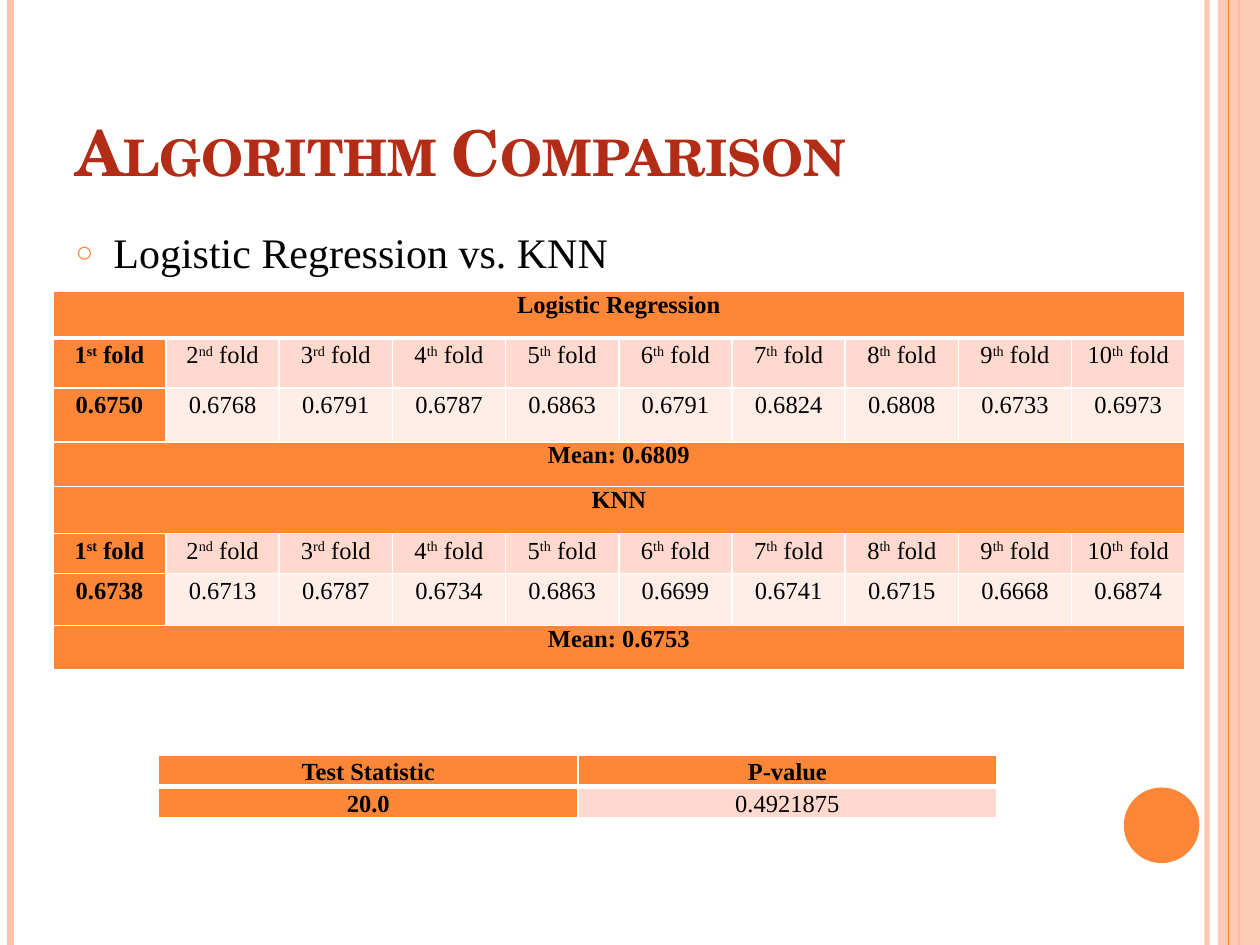
from lxml import etree
from pptx import Presentation
from pptx.dml.color import RGBColor
from pptx.enum import shapes, text
from pptx.oxml import ns
from pptx.util import Pt

ORANGE = RGBColor(0xFE, 0x86, 0x37)
PEACH = RGBColor(0xFE, 0xC3, 0xAE)
ROSE = RGBColor(0xFF, 0xD9, 0xCE)
PALE_ROSE = RGBColor(0xFF, 0xED, 0xE8)
RED = RGBColor(0xB3, 0x2C, 0x16)
BLACK = RGBColor(0, 0, 0)
WHITE = RGBColor(0xFF, 0xFF, 0xFF)
TITLE_FONT = "TeX Gyre Schola"
BODY_FONT = "Times New Roman"
SLIDE_WIDTH, SLIDE_HEIGHT = 720, 540
FOLD_COUNT = 10

LOGISTIC_SCORES = ["0.6750", "0.6768", "0.6791", "0.6787", "0.6863",
                   "0.6791", "0.6824", "0.6808", "0.6733", "0.6973"]
KNN_SCORES = ["0.6738", "0.6713", "0.6787", "0.6734", "0.6863",
              "0.6699", "0.6741", "0.6715", "0.6668", "0.6874"]


def add_child(parent, tag, **attributes):
    return etree.SubElement(parent, ns.qn(tag), attributes)


def set_opacity(shape, percent):
    for color in shape._element.spPr.iter(ns.qn("a:srgbClr")):
        add_child(color, "a:alpha", val=str(percent * 1000))


def format_font(run, name, size, color, bold=False):
    font = run.font
    font.name, font.size, font.bold = name, Pt(size), bold
    font.color.rgb = color


def add_vertical_line(slide, x, width, color, opacity=100):
    line = slide.shapes.add_connector(
        shapes.MSO_CONNECTOR.STRAIGHT, Pt(x), Pt(0), Pt(x), Pt(SLIDE_HEIGHT))
    line.line.color.rgb = color
    line.line.width = Pt(width)
    set_opacity(line, opacity)
    add_child(line._element.spPr, "a:effectLst")


def add_plain_shape(slide, kind, left, top, width, height, color, opacity=100):
    shape = slide.shapes.add_shape(kind, Pt(left), Pt(top), Pt(width), Pt(height))
    shape.shadow.inherit = False
    shape.fill.solid()
    shape.fill.fore_color.rgb = color
    shape.line.fill.background()
    set_opacity(shape, opacity)


def fill_placeholder(placeholder, box, words):
    placeholder.left, placeholder.top, placeholder.width, placeholder.height = map(Pt, box)
    frame = placeholder.text_frame
    frame.text = words
    frame.auto_size = text.MSO_AUTO_SIZE.NONE
    paragraph = frame.paragraphs[0]
    paragraph.alignment = text.PP_ALIGN.LEFT
    return frame, paragraph, paragraph.runs[0]


def add_title(slide, words):
    frame, _, run = fill_placeholder(slide.shapes.title, (36, 21.6, 588, 90), words)
    frame.vertical_anchor = text.MSO_ANCHOR.BOTTOM
    format_font(run, TITLE_FONT, 36, RED, bold=True)
    run._r.get_or_add_rPr().set("cap", "small")


def add_bullet(slide, words):
    _, paragraph, run = fill_placeholder(slide.placeholders[1], (36, 126, 588, 384), words)
    paragraph.space_before = Pt(6)
    format_font(run, BODY_FONT, 24, BLACK)
    properties = paragraph._p.get_or_add_pPr()
    properties.set("marL", str(Pt(21.6)))
    properties.set("indent", str(Pt(-21.6)))
    add_child(add_child(properties, "a:buClr"), "a:srgbClr", val=str(ORANGE))
    add_child(properties, "a:buSzPct", val="70000")
    add_child(properties, "a:buChar", char="○")


def set_borders(cell, top, bottom):
    properties = cell._tc.get_or_add_tcPr()
    for side, width in (("L", 1), ("R", 1), ("T", top), ("B", bottom)):
        line = add_child(properties, f"a:ln{side}", w=str(Pt(width)))
        add_child(add_child(line, "a:solidFill"), "a:srgbClr", val=str(WHITE))


def write_cell(cell, pieces, bold, spacing):
    """Write the pieces as runs; the second one, if any, is raised."""
    cell.margin_left = cell.margin_right = Pt(5)
    cell.margin_top = cell.margin_bottom = 0
    paragraph = cell.text_frame.paragraphs[0]
    paragraph.alignment = text.PP_ALIGN.CENTER
    paragraph.line_spacing = spacing
    for index, piece in enumerate(pieces):
        run = paragraph.add_run()
        run.text = piece
        format_font(run, BODY_FONT, 14, BLACK, bold)
        if index == 1:
            run._r.get_or_add_rPr().set("baseline", "30000")


def add_grid(slide, left, top, width, heights, rows):
    """Each row is (fill, cells); a row of one cell spans the table."""
    column_count = max(len(cells) for _, cells in rows)
    table = slide.shapes.add_table(
        len(rows), column_count, Pt(left), Pt(top), Pt(width), Pt(sum(heights))).table
    table.first_row = table.horz_banding = False
    for column in table.columns:
        column.width = Pt(width / column_count)
    for index, (fill, cells) in enumerate(rows):
        table.rows[index].height = Pt(heights[index])
        spans = len(cells) == 1
        for column in range(column_count):
            cell = table.cell(index, column)
            # A thick rule separates the first row from the rest
            set_borders(cell, 3 if index == 1 else 1, 3 if index == 0 else 1)
            cell.fill.solid()
            cell.fill.fore_color.rgb = ORANGE if column == 0 else fill
            if column < len(cells):
                write_cell(cell, cells[column], column == 0 or fill == ORANGE,
                           1.0 if spans else 1.15)
        if spans:
            table.cell(index, 0).merge(table.cell(index, column_count - 1))


def model_rows(name, scores, mean):
    suffixes = {1: "st", 2: "nd", 3: "rd"}
    folds = [(str(n), suffixes.get(n, "th"), " fold") for n in range(1, FOLD_COUNT + 1)]
    return [(ORANGE, [(name,)]),
            (ROSE, folds),
            (PALE_ROSE, [(score,) for score in scores]),
            (ORANGE, [(f"Mean: {mean}",)])]


def add_decoration(slide):
    add_vertical_line(slide, 689.8, 3, PEACH, 93)
    add_vertical_line(slide, 6, 4.5, PEACH)
    add_vertical_line(slide, 708, 1.5, ORANGE)
    add_plain_shape(slide, shapes.MSO_SHAPE.RECTANGLE,
                    696, 0, SLIDE_WIDTH - 696, SLIDE_HEIGHT, PEACH, 87)
    add_vertical_line(slide, 702, 0.75, ORANGE)
    add_plain_shape(slide, shapes.MSO_SHAPE.OVAL, 642.2, 450, 43.2, 43.2, ORANGE)


def main():
    presentation = Presentation()
    presentation.slide_width, presentation.slide_height = Pt(SLIDE_WIDTH), Pt(SLIDE_HEIGHT)
    slide = presentation.slides.add_slide(presentation.slide_layouts[1])

    # Side bands and circle
    add_decoration(slide)

    # Heading and subject
    add_title(slide, "Algorithm Comparison")
    add_bullet(slide, "Logistic Regression vs. KNN")

    # Scores by fold
    add_grid(slide, 30.2, 166.6, 647, [26.5, 28.6, 30.9, 25.5, 26.8, 22.9, 29.7, 25.2],
             model_rows("Logistic Regression", LOGISTIC_SCORES, "0.6809")
             + model_rows("KNN", KNN_SCORES, "0.6753"))

    # Significance test
    add_grid(slide, 90.7, 431.3, 479, [18, 18],
             [(ORANGE, [("Test Statistic",), ("P-value",)]),
              (ROSE, [("20.0",), ("0.4921875",)])])

    presentation.save("out.pptx")


if __name__ == "__main__":
    main()
